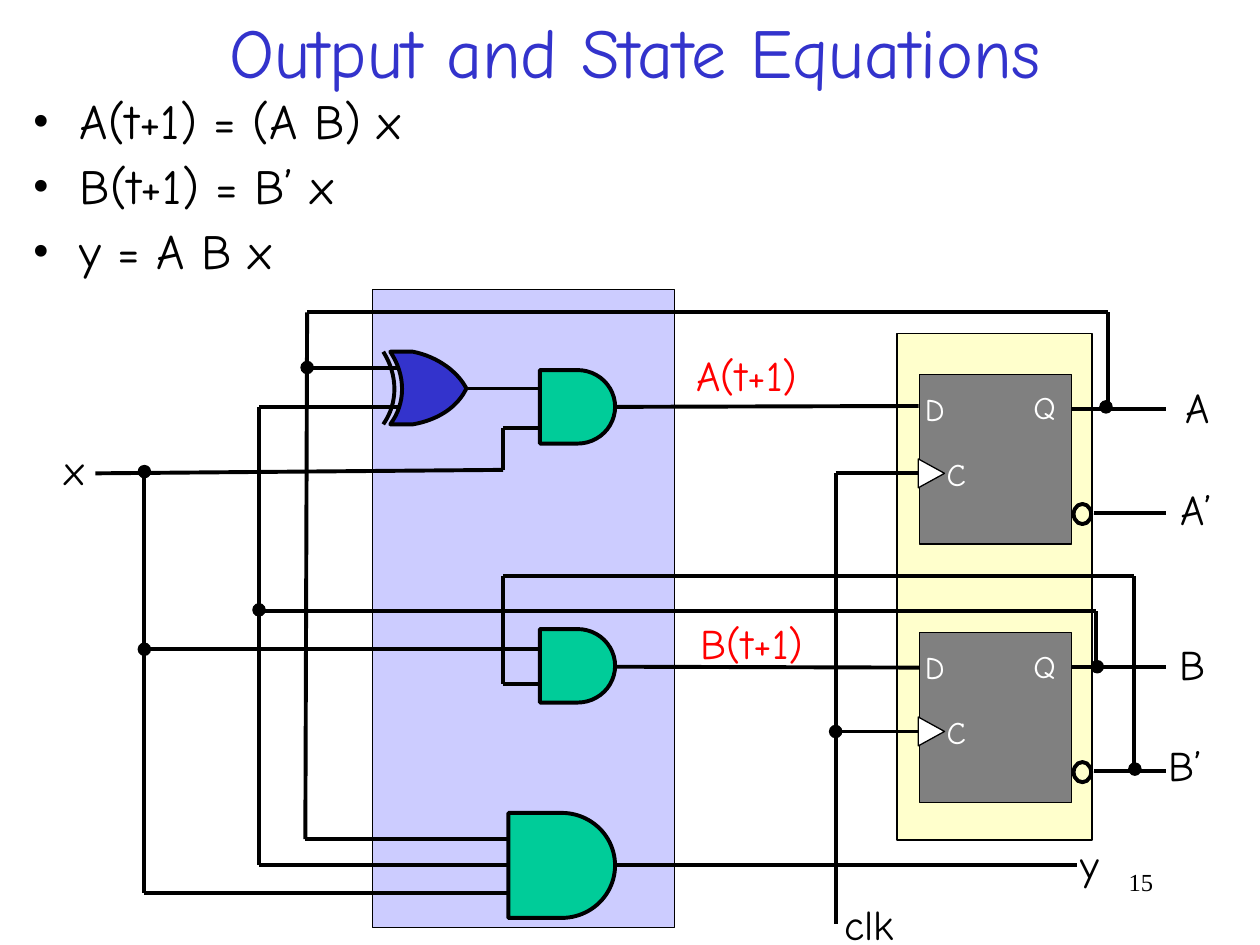
from itertools import pairwise
from lxml.etree import SubElement
from pptx import Presentation
from pptx.dml.color import RGBColor
from pptx.enum.shapes import MSO_CONNECTOR as Connector, MSO_SHAPE as Shape
from pptx.enum.text import MSO_ANCHOR as Anchor, MSO_AUTO_SIZE as AutoSize, PP_ALIGN as Align
from pptx.oxml.ns import qn
from pptx.util import Pt

BLACK = RGBColor(0x00, 0x00, 0x00)
WHITE = RGBColor(0xFF, 0xFF, 0xFF)
RED = RGBColor(0xFF, 0x00, 0x00)
BLUE = RGBColor(0x33, 0x33, 0xCC)
LAVENDER = RGBColor(0xCC, 0xCC, 0xFF)
CREAM = RGBColor(0xFF, 0xFF, 0xCC)
GREEN = RGBColor(0x00, 0xCC, 0x99)
GREY = RGBColor(0x80, 0x80, 0x80)
HAND, SERIF = "Comic Neue", "Times New Roman"
THIN, THICK = 0.75, 2.25
DOT = 7

TITLE = "Output and State Equations"
EQUATIONS = ["A(t+1) = (A B) x", "B(t+1) = B’ x", "y = A B x"]
PAGE_NUMBER = "15"

PANELS = [(213, 165.5, 172.5, 364.5, LAVENDER), (512.5, 190.5, 111.5, 289.5, CREAM)]
AND_GATES = [(308.5, 211.5, 43, 42), (308.5, 359.5, 43, 42), (290.5, 464.5, 61, 60)]
FLIP_FLOP_TOPS = [214, 361.5]
PIN_LABELS = [("D", 528.5, 9, 14), ("Q", 590.5, 8, 15), ("C", 541, 46, 13)]
LABELS = [
    ("A(t+1)", 398, 200, 64, RED), ("B(t+1)", 400.5, 353, 64, RED),
    ("A", 677.5, 218, 16, BLACK), ("A’", 674.5, 276.5, 22, BLACK),
    ("B", 674, 365, 18, BLACK), ("B’", 668, 422.5, 22, BLACK),
    ("x", 37, 253.5, 14, BLACK), ("y", 617.5, 479, 14, BLACK),
    ("clk", 482.5, 513.5, 32, BLACK),
]
WIRES = [
    [(633, 233), (633, 178.5), (175.5, 178.5), (174.5, 479.5), (291, 479.5)],
    [(175.5, 210.5), (243.5, 210.5)],
    [(54.5, 270.5), (287.5, 268.5), (287.5, 244.5), (309, 244.5)],
    [(82.5, 270.5), (82.5, 510.5), (291, 510.5)],
    [(82.5, 371), (309, 371)],
    [(626.5, 381), (626.5, 349), (148, 349)],
    [(243.5, 232.5), (148, 232.5), (148, 494.5), (291, 494.5)],
    [(243.5, 222), (309, 222)],
    [(648, 439.5), (648, 329), (287.5, 329), (287.5, 391), (309, 391)],
    [(477.5, 270.5), (477.5, 528)],
    [(352, 232.5), (525, 232)],
    [(352, 381), (525.5, 381.5)],
    [(352, 494.5), (615.5, 494.5)],
]
JUNCTIONS = [(632, 232.5), (175.5, 210), (82.5, 269.5), (627, 381),
             (82.5, 371), (148, 348.5), (477.5, 418), (648.5, 439.5)]
XOR_LOWER = [(266.5, 222), (261.5, 232.5), (250.5, 240), (236, 242.5)]
XOR_BACK = [(223, 242.5), (232, 230.5), (232, 214.5), (223, 201)]
XOR_UPPER = [(236, 201), (250.5, 204), (261.5, 212.5), (266.5, 222)]
XOR_INPUT = [(219, 242.5), (227.5, 230.5), (227.5, 214.5), (219, 201)]


def style(shape, fill, width):
    shape.shadow.inherit = False
    if fill is None:
        shape.fill.background()
    else:
        shape.fill.solid()
        shape.fill.fore_color.rgb = fill
    shape.line.color.rgb = BLACK
    shape.line.width = Pt(width)


def add_shape(kind, left, top, width, height, fill, line_width=THIN):
    shape = page.shapes.add_shape(kind, Pt(left), Pt(top), Pt(width), Pt(height))
    style(shape, fill, line_width)
    return shape


def add_wire(points):
    for (x1, y1), (x2, y2) in pairwise(points):
        wire = page.shapes.add_connector(Connector.STRAIGHT, Pt(x1), Pt(y1), Pt(x2), Pt(y2))
        wire.line.color.rgb = BLACK
        wire.line.width = Pt(THICK)
        SubElement(wire._element.spPr, qn("a:effectLst"))


def curve(points, steps=16):
    weights = (1, 3, 3, 1)
    return [
        tuple(sum(w * p[axis] * t**i * (1 - t)**(3 - i)
                  for i, (w, p) in enumerate(zip(weights, points))) for axis in (0, 1))
        for t in (step / steps for step in range(steps + 1))
    ]


def add_outline(points, fill, close):
    (x, y), *rest = [(Pt(px), Pt(py)) for px, py in points]
    builder = page.shapes.build_freeform(x, y)
    builder.add_line_segments(rest, close=close)
    style(builder.convert_to_shape(), fill, THICK)


def set_font(para, size, color, name=HAND):
    para.font.size = Pt(size)
    para.font.name = name
    para.font.color.rgb = color


def add_label(text, left, top, width, size, color):
    box = page.shapes.add_textbox(Pt(left), Pt(top), Pt(width), Pt(size * 1.2))
    frame = box.text_frame
    frame.margin_left = frame.margin_right = frame.margin_top = frame.margin_bottom = 0
    frame.word_wrap = False
    frame.text = text
    set_font(frame.paragraphs[0], size, color)


def add_flip_flop(top):
    add_shape(Shape.RECTANGLE, 525.5, top, 87, 97, GREY)
    add_wire([(477.5, top + 56.5), (525.5, top + 56.5)])
    add_wire([(612, top + 19.5), (666.5, top + 19.5)])
    add_wire([(625, top + 79), (666.5, top + 79)])
    clock = add_shape(Shape.ISOSCELES_TRIANGLE, 524, top + 49, 16.5, 15, WHITE)
    clock.rotation = 90
    add_shape(Shape.OVAL, 613.5, top + 74, 10, 11.5, None, THICK)
    for text, left, offset, width in PIN_LABELS:
        add_label(text, left, top + offset, width, 18, WHITE)


deck = Presentation()
deck.slide_width, deck.slide_height = Pt(720), Pt(540)
page = deck.slides.add_slide(deck.slide_layouts[5])

title = page.shapes.title
title.left, title.top, title.width, title.height = Pt(18), Pt(0), Pt(690), Pt(57.5)
title.text_frame.text = TITLE
title.text_frame.auto_size = AutoSize.NONE
title.text_frame.vertical_anchor = Anchor.MIDDLE
title.text_frame.paragraphs[0].alignment = Align.CENTER
set_font(title.text_frame.paragraphs[0], 40, BLUE)

body = page.shapes.add_textbox(Pt(11.5), Pt(52), Pt(690), Pt(114)).text_frame
body.word_wrap = True
body.text = "\n".join(EQUATIONS)
for index, para in enumerate(body.paragraphs):
    properties = para._p.get_or_add_pPr()
    properties.set("marL", str(Pt(27)))
    properties.set("indent", str(Pt(-27)))
    SubElement(properties, qn("a:buFont"), typeface=SERIF)
    SubElement(properties, qn("a:buChar"), char="•")
    para.line_spacing = 0.9
    if index:
        para.space_before = Pt(7)
    set_font(para, 28, BLACK)

number = page.shapes.add_textbox(Pt(516), Pt(492), Pt(150), Pt(36)).text_frame
number.word_wrap = True
number.text = PAGE_NUMBER
number.paragraphs[0].alignment = Align.RIGHT
set_font(number.paragraphs[0], 14, BLACK, SERIF)

for panel in PANELS:
    add_shape(Shape.RECTANGLE, *panel)
for flip_flop_top in FLIP_FLOP_TOPS:
    add_flip_flop(flip_flop_top)
for route in WIRES:
    add_wire(route)
for gate in AND_GATES:
    add_shape(Shape.FLOWCHART_DELAY, *gate, GREEN, THICK)
add_outline(curve(XOR_LOWER) + curve(XOR_BACK) + curve(XOR_UPPER), BLUE, True)
add_outline(curve(XOR_INPUT), None, False)
for x, y in JUNCTIONS:
    add_shape(Shape.OVAL, x - DOT / 2, y - DOT / 2, DOT, DOT, BLACK)
for text, left, top, width, color in LABELS:
    add_label(text, left, top, width, 24, color)

deck.save("out.pptx")
